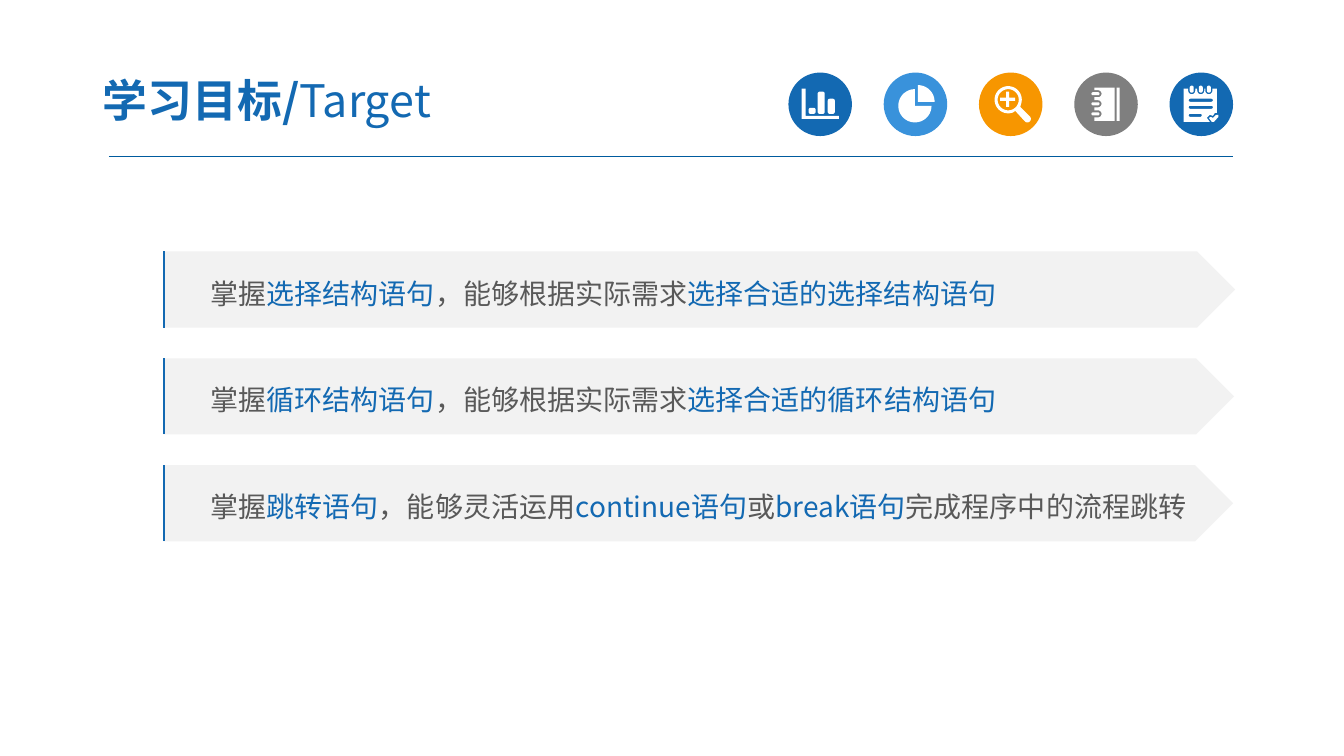
from dataclasses import dataclass
from math import cos, radians, sin

from lxml import etree
from pptx import Presentation
from pptx import util as u
from pptx.dml.color import RGBColor
from pptx.enum import shapes, text
from pptx.oxml.ns import qn


@dataclass(frozen=True)
class Theme:
    font: str = "Noto Sans CJK SC"
    blue: str = "1369B2"
    sky: str = "3992DB"
    orange: str = "F79600"
    gray: str = "7F7F7F"
    rule: str = "005B9E"
    ink: str = "595959"
    panel: str = "F2F2F2"
    white: str = "FFFFFF"
    title_size: int = 32
    body_size: int = 20


CELL = u.Inches(0.1)  # side of one grid column or row
DISC = 6.3            # icon disc diameter, in cells
ICON_UNITS = 10       # icon outline units per cell


def arc(cx, cy, r, start, end, steps=24):
    """Points along a circle; degrees run clockwise from the right."""
    angles = [radians(start + (end - start) * i / steps) for i in range(steps + 1)]
    return [(cx + r * cos(a), cy + r * sin(a)) for a in angles]


def pill(x, y, w, h, r):
    """Outline of a rectangle with rounded corners."""
    corners = ((x + r, y + r, 180), (x + w - r, y + r, 270),
               (x + w - r, y + h - r, 0), (x + r, y + h - r, 90))
    return [pt for cx, cy, a in corners for pt in arc(cx, cy, r, a, a + 90, 6)]


def bar_chart_icon():
    axes = [(13, 16), (17, 16), (17, 43), (50, 43), (50, 46), (13, 46)]
    return [axes] + [pill(x, 41 - h, 7, h, 2) for x, h in ((20, 6), (29, 22), (39, 15))]


def pie_icon():
    return [[(34, 29)] + arc(34, 29, 16.5, 270, 360),
            [(31, 33)] + arc(31, 33, 16.5, 0, 270, 48)]


def magnifier_icon():
    body = (arc(29, 27, 13.5, 68, 380, 48) + [(41, 34), (50, 43)]
            + arc(48, 46, 3.5, -45, 135) + [(36, 38)])
    x, y, arm, half = 28.5, 26.5, 7.5, 1.5
    plus = [(x - arm, y - half), (x - half, y - half), (x - half, y - arm),
            (x + half, y - arm), (x + half, y - half), (x + arm, y - half),
            (x + arm, y + half), (x + half, y + half), (x + half, y + arm),
            (x - half, y + arm), (x - half, y + half), (x - arm, y + half)]
    return [body, arc(29, 27, 10.5, 0, 360, 48), plus]


def notebook_icon():
    rings = (41, 31, 21)
    cover = [(20, 15), (40, 15), (40, 48), (20, 48)]
    for y in rings:
        cover += [(20, y + 3.5)] + arc(23.5, y, 3.5, 90, -90) + [(20, y - 3.5)]
    spine = [(42, 15), (45, 15), (45, 48), (42, 48)]
    return [cover, spine] + [pill(17, y - 1.5, 8, 3, 1.5) for y in rings]


def checklist_icon():
    rings = (22, 31, 39)
    page = [(14, 16)]
    for x in rings:
        page += [(x - 3.5, 16)] + arc(x, 18, 3.5, 180, 0) + [(x + 3.5, 16)]
    page += [(47, 16), (47, 40), (45, 40), (43, 43), (40, 42), (37, 45), (40, 49), (14, 49)]
    tick = [(39, 45), (41, 44), (43, 45), (46, 42), (48.5, 42), (48.5, 44), (44, 49), (42, 49)]
    lines = [pill(19, y, w, 3, 1.5) for y, w in ((26, 24), (33, 24), (41, 13))]
    return [page, tick] + lines + [pill(x - 2, 13, 4, 7, 2) for x in rings]


class Deck:
    """Holds the theme and the current slide; lengths are grid cells."""

    def __init__(self, theme):
        self.theme = theme
        self.prs = Presentation()
        self.prs.slide_width, self.prs.slide_height = u.Inches(13.33), u.Inches(7.5)
        self.s = self.prs.slides.add_slide(self.prs.slide_layouts[6])

    def paint(self, sp, color):
        sp.shadow.inherit = False
        sp.fill.solid()
        sp.fill.fore_color.rgb = RGBColor.from_string(color)
        sp.line.fill.background()

    def shape(self, kind, box, color):
        sp = self.s.shapes.add_shape(kind, *(int(v * CELL) for v in box))
        self.paint(sp, color)
        return sp

    def line(self, x1, y1, x2, y2, color, width):
        ends = (int(v * CELL) for v in (x1, y1, x2, y2))
        c = self.s.shapes.add_connector(shapes.MSO_CONNECTOR.STRAIGHT, *ends)
        c.line.color.rgb = RGBColor.from_string(color)
        c.line.width = u.Pt(width)
        etree.SubElement(c._element.spPr, qn("a:effectLst"))

    def icon(self, x, y, color, contours):
        self.shape(shapes.MSO_SHAPE.OVAL, (x, y, DISC, DISC), color)
        outlines = [[((x + px / ICON_UNITS) * CELL, (y + py / ICON_UNITS) * CELL)
                     for px, py in contour] for contour in contours]
        fb = self.s.shapes.build_freeform(*outlines[0][0])
        for i, pts in enumerate(outlines):
            if i:
                fb.move_to(*pts[0])
            fb.add_line_segments(pts[1:], close=True)
        self.paint(fb.convert_to_shape(), self.theme.white)

    def label(self, sp, runs, frame=None, para=None):
        """Fill one left-aligned paragraph with (text, size, color, bold) runs."""
        tf = sp.text_frame
        p = tf.paragraphs[0]
        frame = {"word_wrap": True, "vertical_anchor": text.MSO_ANCHOR.MIDDLE, **(frame or {})}
        para = {"alignment": text.PP_ALIGN.LEFT, **(para or {})}
        for target, values in ((tf, frame), (p, para)):
            for name, value in values.items():
                setattr(target, name, value)
        for words, size, color, bold in runs:
            r = p.add_run()
            r.text = words
            for name, value in {"name": self.theme.font, "size": u.Pt(size), "bold": bold}.items():
                setattr(r.font, name, value)
            r.font.color.rgb = RGBColor.from_string(color)
            etree.SubElement(r._r.get_or_add_rPr(), qn("a:ea"), typeface=self.theme.font)
        return p

    def title(self, box, strong, light):
        t = self.theme
        sp = self.s.shapes.add_textbox(*(int(v * CELL) for v in box))
        side, edge = u.Inches(0.13), u.Inches(0.07)
        self.label(sp, [(strong, t.title_size, t.blue, True), (light, t.title_size, t.blue, False)],
                   {"margin_left": side, "margin_right": side,
                    "margin_top": edge, "margin_bottom": edge})

    def goal(self, x, y, w, h, parts):
        """Arrow panel whose text parts alternate between plain and highlighted."""
        t = self.theme
        sp = self.shape(shapes.MSO_SHAPE.PENTAGON, (x, y, w, h), t.panel)
        runs = [(words, t.body_size, t.blue if i % 2 else t.ink, False)
                for i, words in enumerate(parts)]
        p = self.label(sp, runs, para={"line_spacing": 1.2})
        p._p.get_or_add_pPr().set("indent", str(u.Inches(0.37)))
        self.line(x + 0.1, y, x + 0.1, y + h, t.blue, 1.5)


def main():
    t = Theme()
    deck = Deck(t)
    deck.line(10.8, 15.5, 122.3, 15.5, t.rule, 0.75)
    icons = ((t.blue, bar_chart_icon), (t.sky, pie_icon), (t.orange, magnifier_icon),
             (t.gray, notebook_icon), (t.blue, checklist_icon))
    for i, (color, outline) in enumerate(icons):
        deck.icon(78.2 + 9.45 * i, 7.2, color, outline())
    deck.title((8.9, 6.3, 52.2, 7.2), "学习目标/", "Target")

    goals = (
        ("掌握", "选择结构语句", "，能够根据实际需求", "选择合适的选择结构语句"),
        ("掌握", "循环结构语句", "，能够根据实际需求", "选择合适的循环结构语句"),
        ("掌握", "跳转语句", "，能够灵活运用", "continue语句", "或", "break语句",
         "完成程序中的流程跳转"),
    )
    for i, parts in enumerate(goals):
        deck.goal(16.2, 24.95 + 10.6 * i, 106.3 - 0.1 * i, 7.55, parts)
    deck.prs.save("out.pptx")


if __name__ == "__main__":
    main()
